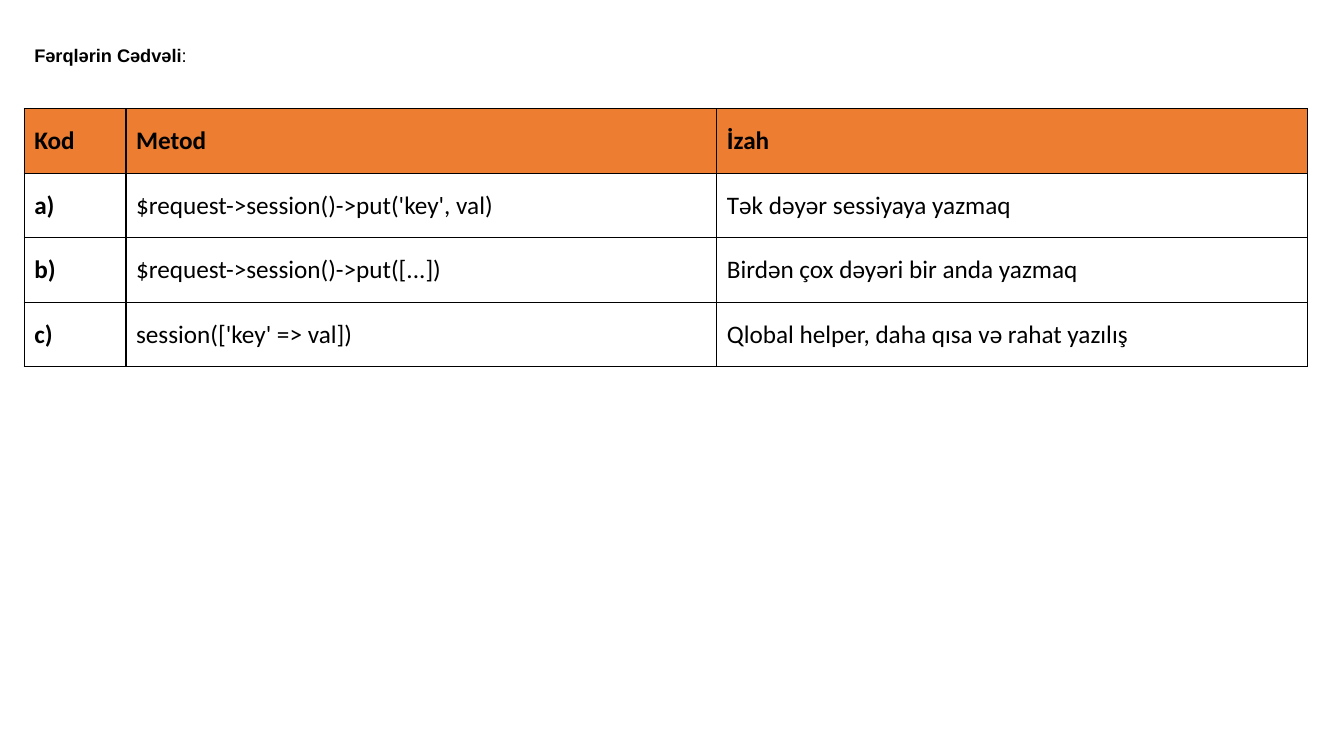
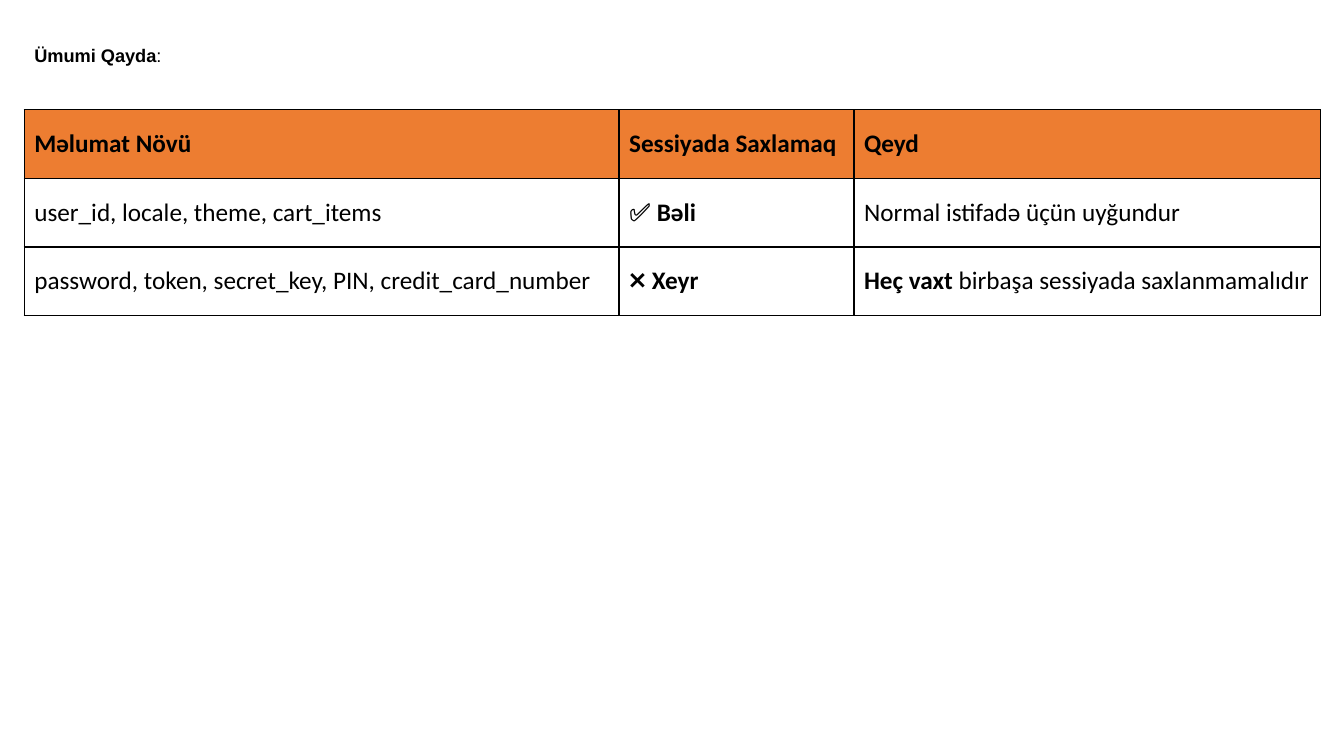
from lxml import etree
from pptx import Presentation
from pptx.dml.color import RGBColor
from pptx.enum.text import MSO_ANCHOR, MSO_AUTO_SIZE, PP_ALIGN
from pptx.oxml.ns import qn
from pptx.util import Inches, Pt

TOP, MIDDLE = MSO_ANCHOR.TOP, MSO_ANCHOR.MIDDLE
LEFT = PP_ALIGN.LEFT
NO_AUTOFIT = MSO_AUTO_SIZE.NONE
TITLE_ONLY = 5

COLORS = {"text": "000000", "border": "000000", "header": "ED7D31", "body": "FFFFFF"}
MARGIN = 0.24
TITLE_TOP, TITLE_WIDTH, TITLE_HEIGHT = 0.28, 12.86, 0.39

SLIDES = [
    {
        "title": "**Fərqlərin Cədvəli**:",
        "top": 1.08,
        "columns": [1.01, 5.86, 5.86],
        "row_height": 0.64,
        "rows": [
            ["**Kod**", "**Metod**", "**İzah**"],
            ["**a)**", "$request->session()->put('key', val)", "Tək dəyər sessiyaya yazmaq"],
            ["**b)**", "$request->session()->put([...])", "Birdən çox dəyəri bir anda yazmaq"],
            ["**c)**", "session(['key' => val])", "Qlobal helper, daha qısa və rahat yazılış"],
        ],
    },
    {
        "title": "**Ümumi Qayda**:",
        "top": 1.09,
        "columns": [5.9, 2.33, 4.63],
        "row_height": 0.68,
        "rows": [
            ["**Məlumat Növü**", "**Sessiyada Saxlamaq**", "**Qeyd**"],
            ["user_id, locale, theme, cart_items", "✅ **Bəli**", "Normal istifadə üçün uyğundur"],
            [
                "password, token, secret_key, PIN, credit_card_number",
                "❌ **Xeyr**",
                "**Heç vaxt** birbaşa sessiyada saxlanmamalıdır",
            ],
        ],
    },
]


def write_text(frame, text, font_name, size):
    para = frame.paragraphs[0]
    para.alignment = LEFT
    for index, part in enumerate(text.split("**")):
        if part:
            span = para.add_run()
            span.text = part
            span.font.bold = index % 2 == 1
            span.font.name = font_name
            span.font.size = Pt(size)
            span.font.color.rgb = RGBColor.from_string(COLORS["text"])
    return para


def style_cell(cell, color):
    properties = cell._tc.get_or_add_tcPr()
    for side in ("a:lnL", "a:lnR", "a:lnT", "a:lnB"):
        line = etree.SubElement(properties, qn(side), w=str(Pt(1)))
        fill = etree.SubElement(line, qn("a:solidFill"))
        etree.SubElement(fill, qn("a:srgbClr"), val=COLORS["border"])
    cell.fill.solid()
    cell.fill.fore_color.rgb = RGBColor.from_string(color)
    cell.vertical_anchor = MIDDLE


deck = Presentation()
deck.slide_width, deck.slide_height = Inches(13.33), Inches(7.5)

for content in SLIDES:
    page = deck.slides.add_slide(deck.slide_layouts[TITLE_ONLY])
    title = page.shapes.title
    title.left, title.top = Inches(MARGIN), Inches(TITLE_TOP)
    title.width, title.height = Inches(TITLE_WIDTH), Inches(TITLE_HEIGHT)
    frame = title.text_frame
    frame.word_wrap = True
    frame.auto_size = NO_AUTOFIT
    frame.vertical_anchor = TOP
    write_text(frame, content["title"], "Arial", 13).line_spacing = 1.5

    rows, columns = content["rows"], content["columns"]
    table = page.shapes.add_table(
        len(rows), len(columns),
        Inches(MARGIN), Inches(content["top"]),
        Inches(sum(columns)), Inches(content["row_height"] * len(rows)),
    ).table
    table.first_row = False
    table.horz_banding = False
    for column, width in zip(table.columns, columns):
        column.width = Inches(width)
    for row_index, texts in enumerate(rows):
        table.rows[row_index].height = Inches(content["row_height"])
        for column_index, text in enumerate(texts):
            cell = table.cell(row_index, column_index)
            style_cell(cell, COLORS["body" if row_index else "header"])
            write_text(cell.text_frame, text, "Calibri", 18)

deck.save("out.pptx")
